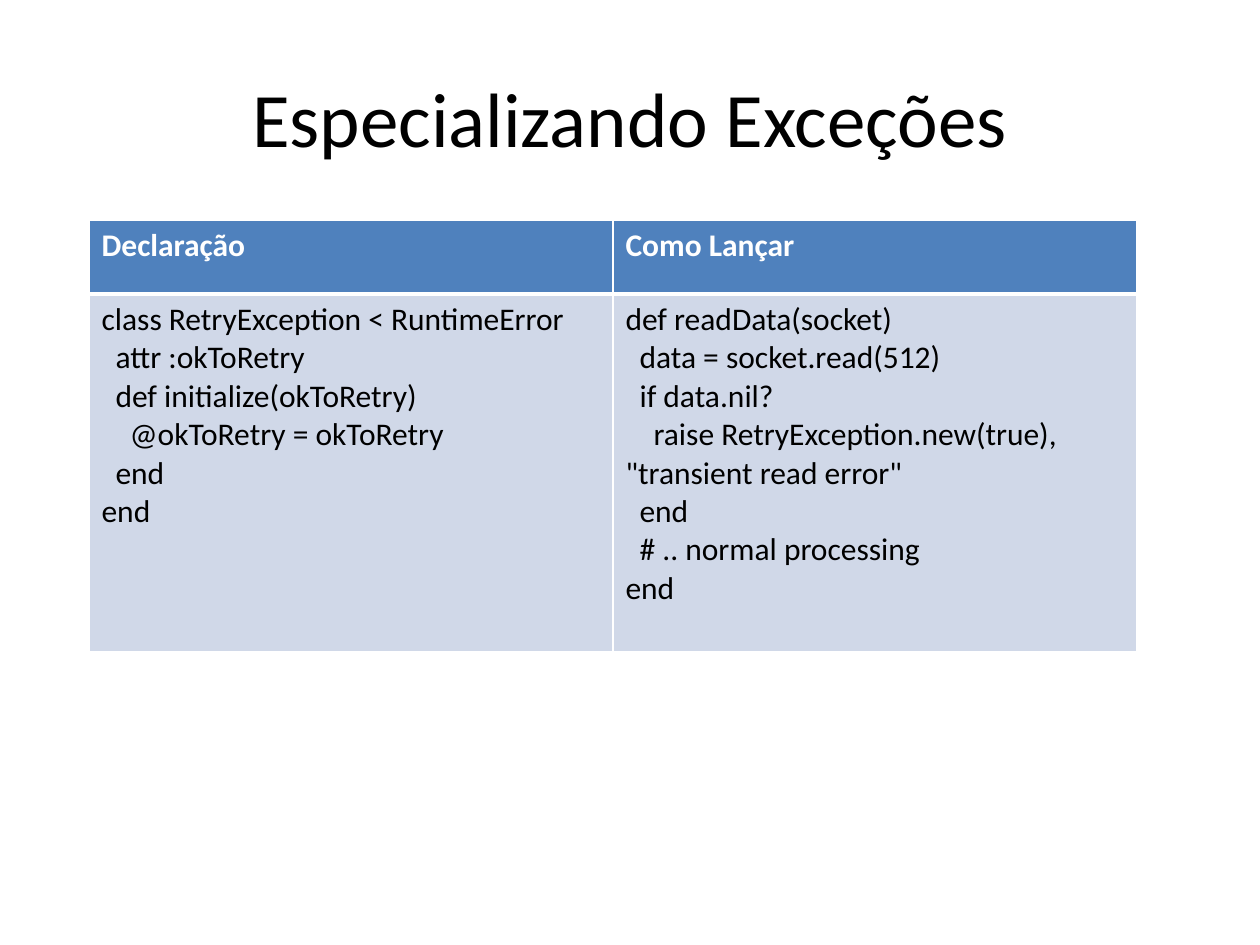
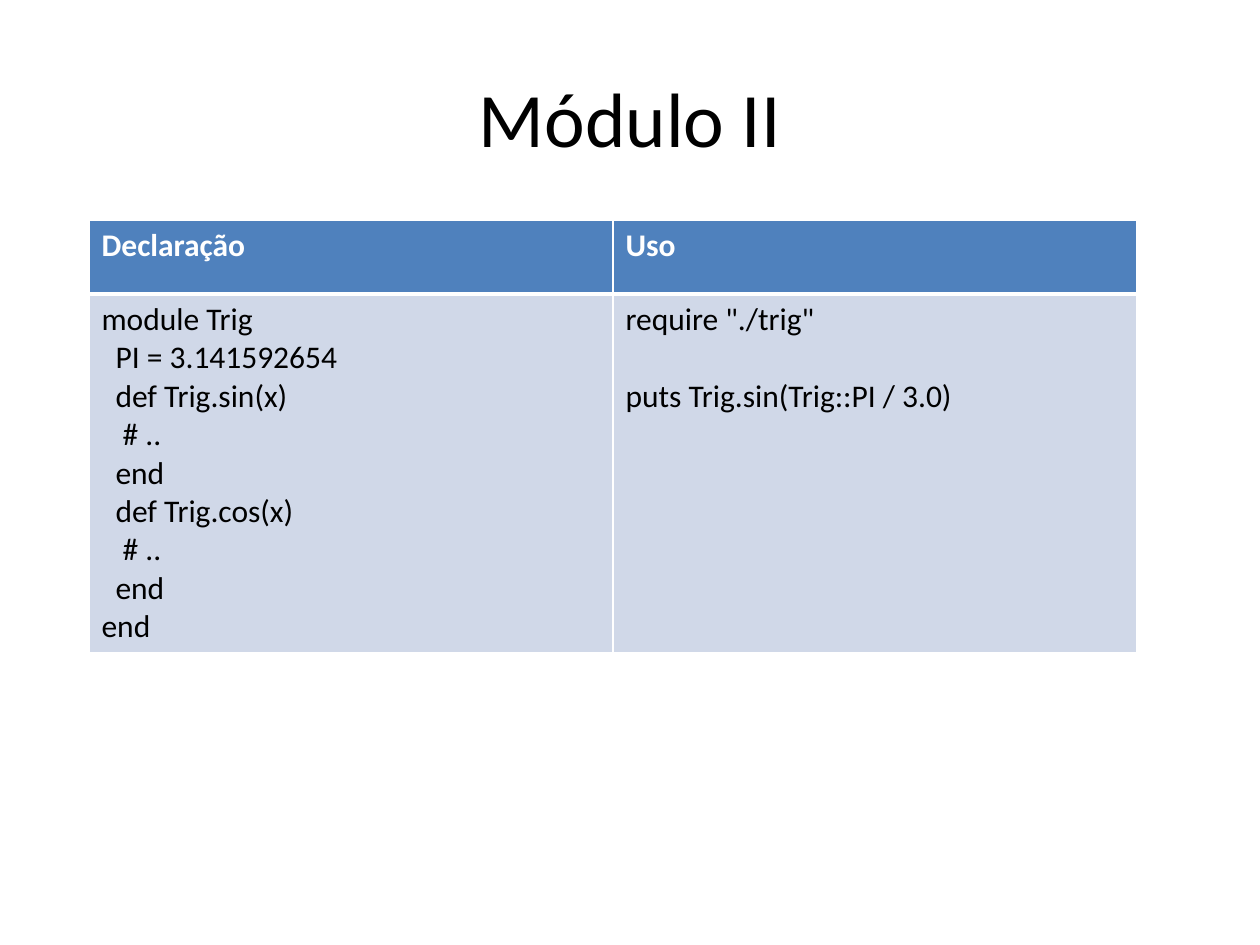
"""Builds two slides that pair Ruby code samples in a table."""
from lxml import etree
from pptx import Presentation, util as u
from pptx.dml.color import RGBColor
from pptx.enum import text as t
from pptx.oxml import ns

HUES = {"head": "4F81BD", "body": "D0D8E8", "ink": "000000", "pale": "FFFFFF"}
FONT = "Calibri"
SPACE = 7
LINE = 22
THIN, THICK = 1, 3
TITLE = (63, 38, 1134, 158)
LEFT, TOP, WIDE = 89, 220, 524
ROWS = (74, 358)

RETRY = [
    (0, "class RetryException < RuntimeError"),
    (2, "attr :okToRetry"),
    (2, "def initialize(okToRetry)"),
    (4, "@okToRetry = okToRetry"),
    (2, "end"),
    (0, "end"),
]
READ = [
    (0, "def readData(socket)"),
    (2, "data = socket.read(512)"),
    (2, "if data.nil?"),
    (4, 'raise RetryException.new(true), "transient read error"'),
    (2, "end"),
    (2, "# .. normal processing"),
    (0, "end"),
]
TRIG = [
    (0, "module Trig"),
    (2, "PI = 3.141592654"),
    (2, "def Trig.sin(x)"),
    (3, "# .."),
    (2, "end"),
    (2, "def Trig.cos(x)"),
    (3, "# .."),
    (2, "end"),
    (0, "end"),
]
USAGE = [(0, 'require "./trig"'), (0, "puts Trig.sin(Trig::PI / 3.0)")]

PAGES = [
    ("Especializando Exceções", [("Declaração", RETRY, 0), ("Como Lançar", READ, 0)]),
    ("Módulo II", [("Declaração", TRIG, 0), ("Uso", USAGE, LINE)]),
]


def px(num):
    """Turn px into EMU."""
    return u.Emu(round(num * 914400 / 126))


def write(para, words, size=18, hue="ink", bold=False, align=None, inset=0, gap=0):
    """Put formatted words in a paragraph."""
    run = para.add_run()
    run.text = words
    font = run.font
    font.name, font.size, font.bold = FONT, u.Pt(size), bold
    font.color.rgb = RGBColor.from_string(HUES[hue])
    para.alignment = align
    if gap:
        para.space_after = u.Pt(gap)
    if inset:
        para._p.get_or_add_pPr().set("indent", str(px(inset * SPACE)))


def title(slide, words):
    """Place and fill the slide title."""
    box = slide.shapes.title
    box.left, box.top, box.width, box.height = map(px, TITLE)
    frame = box.text_frame
    frame.vertical_anchor = t.MSO_ANCHOR.MIDDLE
    write(frame.paragraphs[0], words, size=44, align=t.PP_ALIGN.CENTER)


def edge(cell, **sides):
    """Draw pale borders, given as a width in points for each side."""
    props = cell._tc.get_or_add_tcPr()
    for i, (side, width) in enumerate(sides.items()):
        line = etree.Element(ns.qn(f"a:ln{side}"), w=str(u.Pt(width)))
        paint = etree.SubElement(line, ns.qn("a:solidFill"))
        etree.SubElement(paint, ns.qn("a:srgbClr"), val=HUES["pale"])
        props.insert(i, line)


def fill(cell, back, lines, gap=0, **look):
    """Colour a cell and write its lines, with a gap after the first."""
    cell.fill.solid()
    cell.fill.fore_color.rgb = RGBColor.from_string(HUES[back])
    frame = cell.text_frame
    for i, (inset, words) in enumerate(lines):
        para = frame.add_paragraph() if i else frame.paragraphs[0]
        write(para, words, inset=inset, gap=0 if i else gap, **look)


def pair(slide, cols):
    """Add a table with one headed code sample per column."""
    area = map(px, (LEFT, TOP, WIDE * len(cols), sum(ROWS)))
    grid = slide.shapes.add_table(len(ROWS), len(cols), *area).table
    for row, high in zip(grid.rows, ROWS):
        row.height = px(high)
    for i, (label, code, gap) in enumerate(cols):
        grid.columns[i].width = px(WIDE)
        head, body = grid.cell(0, i), grid.cell(1, i)
        fill(head, "head", [(0, label)], hue="pale", bold=True)
        fill(body, "body", code, gap=gap)
        edge(head, L=THIN, R=THIN, T=THIN, B=THICK)
        edge(body, L=THIN, R=THIN, T=THICK, B=THIN)


def main():
    """Build and save the slides."""
    deck = Presentation()
    deck.slide_width, deck.slide_height = px(1260), px(945)
    for name, cols in PAGES:
        slide = deck.slides.add_slide(deck.slide_layouts[5])
        title(slide, name)
        pair(slide, cols)
    deck.save("out.pptx")


if __name__ == "__main__":
    main()
